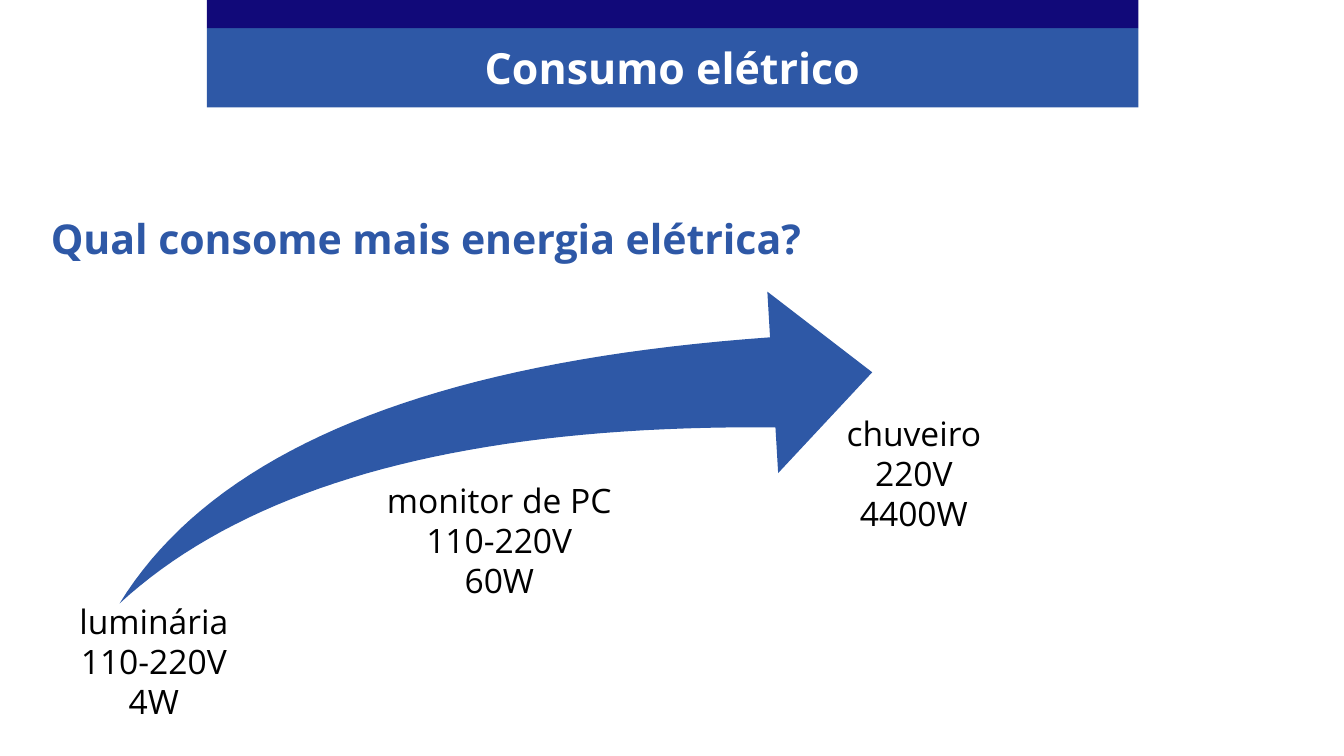
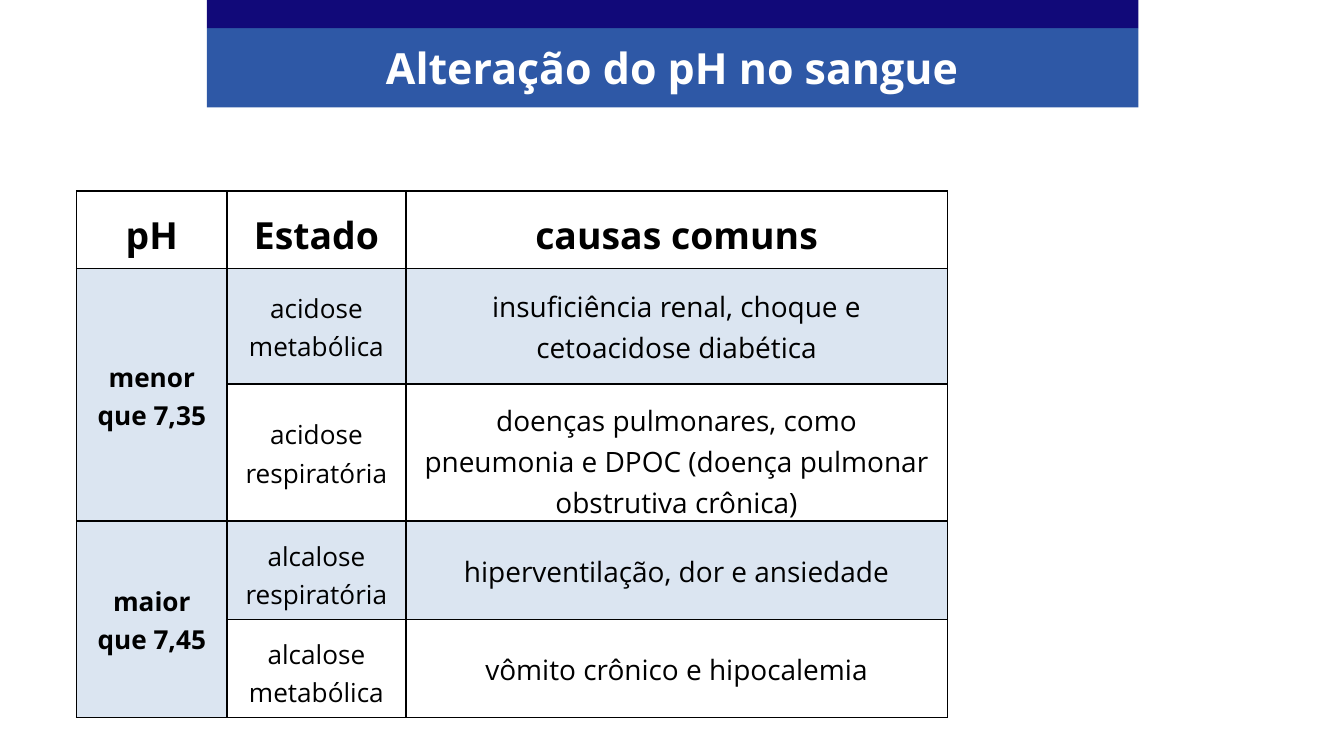
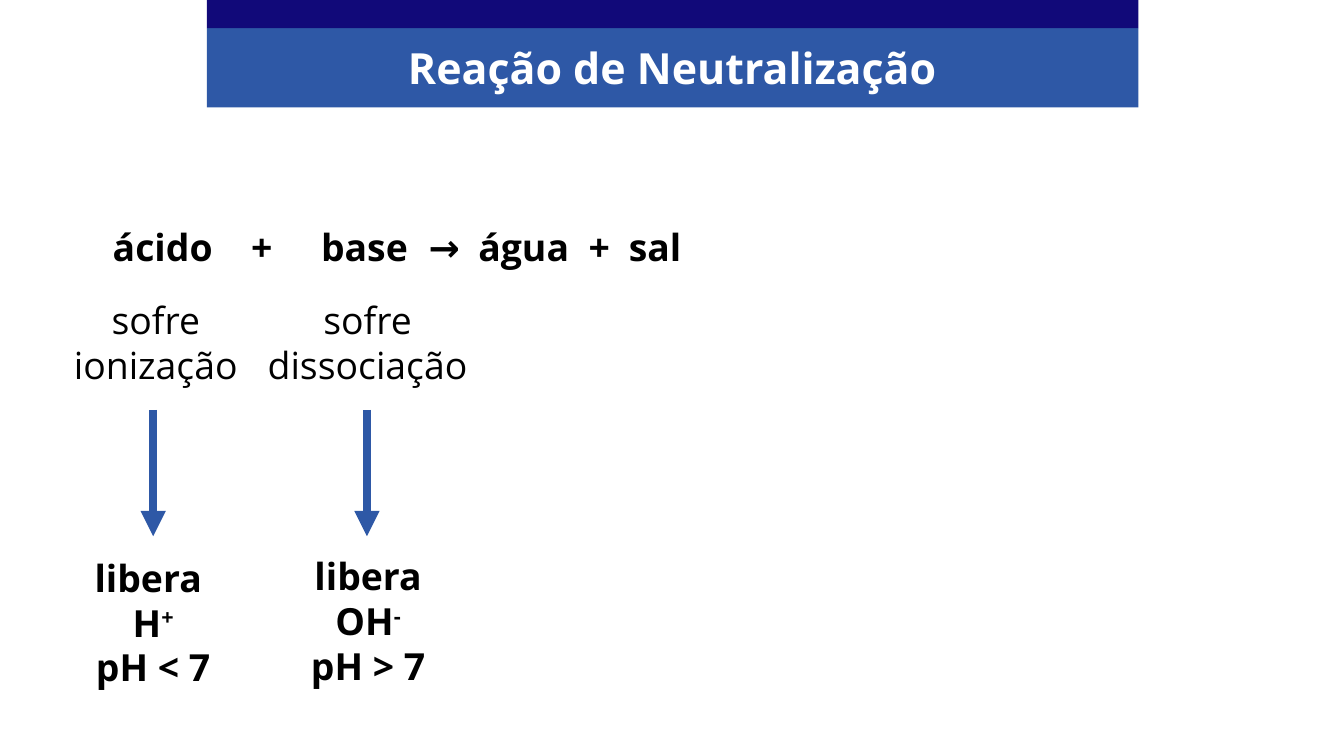
from typing import NamedTuple

from lxml.etree import SubElement
from pptx import Presentation
from pptx.dml.color import RGBColor
from pptx.enum.shapes import MSO_CONNECTOR, MSO_SHAPE
from pptx.enum.text import MSO_ANCHOR, MSO_AUTO_SIZE, PP_ALIGN
from pptx.oxml.ns import qn
from pptx.util import Inches, Pt

# Shared style
SLIDE_WIDTH = 10
SLIDE_HEIGHT = SLIDE_WIDTH * 9 / 16
FONT = "Open Sans"
BLUE = RGBColor(0x2E, 0x58, 0xA6)
NAVY = RGBColor(0x11, 0x09, 0x79)
CELL_BLUE = RGBColor(0x4F, 0x81, 0xBD)
BLACK = RGBColor(0, 0, 0)
WHITE = RGBColor(0xFF, 0xFF, 0xFF)
BAND_LEFT, BAND_WIDTH = 1.54, 6.93


class Label(NamedTuple):
    left: float
    top: float
    width: float
    height: float
    lines: tuple[str, ...]
    size: float
    bold: bool = False
    color: RGBColor = BLACK
    align: PP_ALIGN = PP_ALIGN.CENTER


class Reactant(NamedTuple):
    arrow_x: float
    process: Label
    product: Label


class State(NamedTuple):
    name: str
    causes: str
    shaded: bool


class Curve(NamedTuple):
    start: tuple[float, float]
    control_1: tuple[float, float]
    control_2: tuple[float, float]
    end: tuple[float, float]


def style_run(run, size: float, bold: bool, color: RGBColor) -> None:
    run.font.name = FONT
    run.font.size = Pt(size)
    run.font.bold = bold
    run.font.color.rgb = color


def add_label(slide, label: Label):
    """Add a text box; a line written as 'H^+' raises what follows the caret."""
    box = slide.shapes.add_textbox(
        Inches(label.left), Inches(label.top), Inches(label.width), Inches(label.height)
    )
    text_frame = box.text_frame
    text_frame.word_wrap = True
    text_frame.auto_size = MSO_AUTO_SIZE.SHAPE_TO_FIT_TEXT
    for index, line in enumerate(label.lines):
        paragraph = text_frame.add_paragraph() if index else text_frame.paragraphs[0]
        paragraph.alignment = label.align
        base, _, superscript = line.partition("^")
        paragraph.text = base
        if superscript:
            raised = paragraph.add_run()
            raised.text = superscript
            raised.font._element.set("baseline", "30000")
        for run in paragraph.runs:
            style_run(run, label.size, label.bold, label.color)
    return box


def add_titled_slide(presentation, title: str):
    slide = presentation.slides.add_slide(presentation.slide_layouts[6])
    group = slide.shapes.add_group_shape()
    for top, height, color in ((0.21, 0.59, BLUE), (0, 0.21, NAVY)):
        band = group.shapes.add_shape(
            MSO_SHAPE.RECTANGLE,
            Inches(BAND_LEFT), Inches(top), Inches(BAND_WIDTH), Inches(height),
        )
        band.shadow.inherit = False
        band.fill.solid()
        band.fill.fore_color.rgb = color
        band.line.fill.background()
    add_label(slide, Label(BAND_LEFT, 0.26, BAND_WIDTH, 0.49, (title,), 23, True, WHITE))
    return slide


# Slide 1: growing power consumption
QUESTION = Label(0.28, 1.54, 8.58, 0.47, ("Qual consome mais energia elétrica?",),
                 22, True, BLUE, PP_ALIGN.LEFT)
APPLIANCES = (
    Label(0.45, 4.42, 1.39, 1.01, ("luminária", "110-220V", "4W"), 18),
    Label(2.77, 3.52, 1.89, 1.01, ("monitor de PC", "110-220V", "60W"), 18),
    Label(6.17, 3.02, 1.26, 1.01, ("chuveiro", "220V", "4400W"), 18),
)
UPPER_EDGE = Curve((0.89, 4.49), (1.59, 3.35), (3.2, 2.69), (5.73, 2.51))
ARROW_HEAD = [(5.71, 2.17), (6.49, 2.77), (5.79, 3.52)]
LOWER_EDGE = Curve((5.77, 3.18), (3.5, 3.16), (1.87, 3.59), (0.89, 4.49))


def curve_points(curve: Curve, steps: int = 40) -> list[tuple[float, float]]:
    points = []
    for step in range(steps + 1):
        t = step / steps
        weights = ((1 - t) ** 3, 3 * t * (1 - t) ** 2, 3 * t**2 * (1 - t), t**3)
        points.append((
            sum(weight * point[0] for weight, point in zip(weights, curve)),
            sum(weight * point[1] for weight, point in zip(weights, curve)),
        ))
    return points


def build_consumption_slide(presentation) -> None:
    slide = add_titled_slide(presentation, "Consumo elétrico")
    for label in (QUESTION, *APPLIANCES):
        add_label(slide, label)
    # The builder rounds its points to whole units, so they are given in EMU
    outline = [
        (Inches(x), Inches(y))
        for x, y in curve_points(UPPER_EDGE) + ARROW_HEAD + curve_points(LOWER_EDGE)[:-1]
    ]
    builder = slide.shapes.build_freeform(*outline[0])
    builder.add_line_segments(outline[1:], close=True)
    arrow = builder.convert_to_shape()
    arrow.shadow.inherit = False
    arrow.fill.solid()
    arrow.fill.fore_color.rgb = BLUE
    arrow.line.fill.background()


# Slide 2: table of blood pH states
HEADERS = ("pH", "Estado", "causas comuns")
COLUMN_WIDTHS = (1.12, 1.33, 4.03)
ROW_HEIGHTS = (0.55, 0.86, 0.9, 0.73, 0.73)
PH_RANGES = {1: "menor que 7,35", 3: "maior que 7,45"}
STATES = (
    State("acidose metabólica", "insuficiência renal, choque e cetoacidose diabética", True),
    State("acidose respiratória",
          "doenças pulmonares, como pneumonia e DPOC (doença pulmonar obstrutiva crônica)", False),
    State("alcalose respiratória", "hiperventilação, dor e ansiedade", True),
    State("alcalose metabólica", "vômito crônico e hipocalemia", False),
)


def format_cell(cell, shaded: bool) -> None:
    properties = cell._tc.get_or_add_tcPr()
    for side in ("a:lnL", "a:lnR", "a:lnT", "a:lnB"):
        border = SubElement(properties, qn(side), w=str(Pt(1)))
        fill = SubElement(border, qn("a:solidFill"))
        SubElement(fill, qn("a:srgbClr"), val=str(BLACK))
    if shaded:
        cell.fill.solid()
        cell.fill.fore_color.rgb = CELL_BLUE
        color = properties.find(f"{qn('a:solidFill')}/{qn('a:srgbClr')}")
        SubElement(color, qn("a:alpha"), val="20000")
    else:
        cell.fill.background()


def write_cell(cell, text: str, size: float, bold: bool = False, inset: float = 0.11) -> None:
    cell.vertical_anchor = MSO_ANCHOR.MIDDLE
    cell.margin_left = cell.margin_right = Inches(0.11)
    cell.margin_top = cell.margin_bottom = Inches(inset)
    cell.text_frame.text = text
    paragraph = cell.text_frame.paragraphs[0]
    paragraph.alignment = PP_ALIGN.CENTER
    paragraph.line_spacing = 1.07
    style_run(paragraph.runs[0], size, bold, BLACK)


def build_blood_slide(presentation) -> None:
    slide = add_titled_slide(presentation, "Alteração do pH no sangue")
    table = slide.shapes.add_table(
        len(ROW_HEIGHTS), len(COLUMN_WIDTHS), Inches(0.57), Inches(1.42),
        Inches(sum(COLUMN_WIDTHS)), Inches(sum(ROW_HEIGHTS)),
    ).table
    table.first_row = table.horz_banding = False
    for column, width in zip(table.columns, COLUMN_WIDTHS):
        column.width = Inches(width)
    for row, height in zip(table.rows, ROW_HEIGHTS):
        row.height = Inches(height)

    for column, header in enumerate(HEADERS):
        format_cell(table.cell(0, column), False)
        write_cell(table.cell(0, column), header, 20, True)
    for row, state in enumerate(STATES, start=1):
        for column in range(len(HEADERS)):
            format_cell(table.cell(row, column), column == 0 or state.shaded)
        write_cell(table.cell(row, 1), state.name, 14)
        write_cell(table.cell(row, 2), state.causes, 15)
    for row, ph_range in PH_RANGES.items():
        table.cell(row, 0).merge(table.cell(row + 1, 0))
        write_cell(table.cell(row, 0), ph_range, 14, True, 0.05)


# Slide 3: neutralization reaction
EQUATION = Label(0.74, 1.62, 6.82, 0.44, ("ácido\t+\tbase\t→\tágua\t+\tsal",),
                 20, True, BLACK, PP_ALIGN.JUSTIFY)
EQUATION_TABS = (1.03, 1.55, 2.35, 2.72, 3.54, 3.84)
REACTANTS = (
    Reactant(1.14, Label(0.38, 2.16, 1.56, 0.77, ("sofre ionização",), 20),
             Label(0.36, 4.08, 1.56, 1.11, ("libera ", "H^+", "pH < 7"), 20, True)),
    Reactant(2.73, Label(1.79, 2.16, 1.89, 0.77, ("sofre dissociação",), 20),
             Label(1.96, 4.07, 1.56, 1.11, ("libera", "OH^-", "pH > 7"), 20, True)),
)


def add_down_arrow(slide, x: float) -> None:
    arrow = slide.shapes.add_connector(
        MSO_CONNECTOR.STRAIGHT, Inches(x), Inches(3.05), Inches(x), Inches(3.99)
    )
    arrow.line.color.rgb = BLUE
    arrow.line.width = Pt(4.5)
    SubElement(arrow.line._get_or_add_ln(), qn("a:tailEnd"), type="triangle")
    SubElement(arrow._element.spPr, qn("a:effectLst"))


def build_neutralization_slide(presentation) -> None:
    slide = add_titled_slide(presentation, "Reação de Neutralização")
    paragraph = add_label(slide, EQUATION).text_frame.paragraphs[0]
    tab_list = SubElement(paragraph._p.get_or_add_pPr(), qn("a:tabLst"))
    for position in EQUATION_TABS:
        SubElement(tab_list, qn("a:tab"), pos=str(Inches(position)), algn="l")
    paragraph.space_after = Pt(12)
    for reactant in REACTANTS:
        add_down_arrow(slide, reactant.arrow_x)
        add_label(slide, reactant.process)
        add_label(slide, reactant.product)


def main() -> None:
    presentation = Presentation()
    presentation.slide_width = Inches(SLIDE_WIDTH)
    presentation.slide_height = Inches(SLIDE_HEIGHT)
    build_consumption_slide(presentation)
    build_blood_slide(presentation)
    build_neutralization_slide(presentation)
    presentation.save("out.pptx")


if __name__ == "__main__":
    main()
